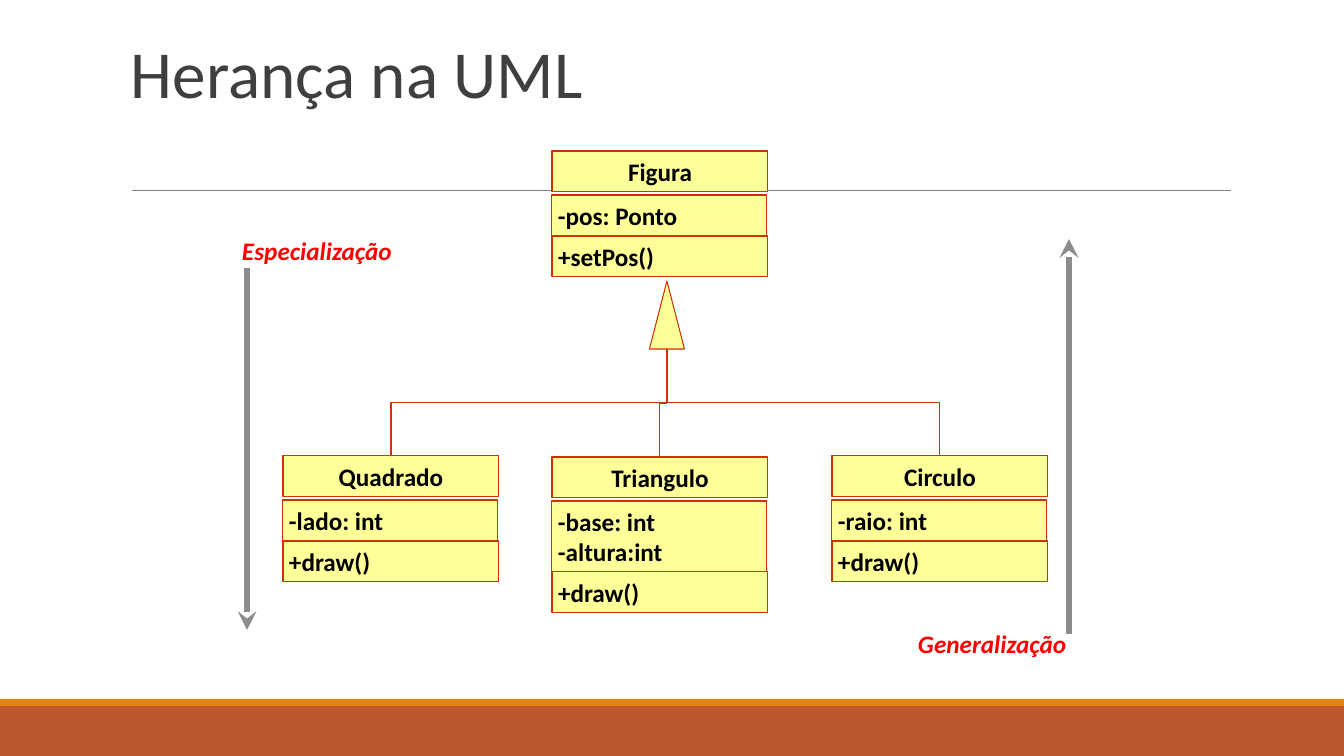
"""Build the slide on inheritance in UML class diagrams."""
from pptx import Presentation
from pptx.dml.color import RGBColor
from pptx.enum.shapes import MSO_CONNECTOR as Link, MSO_SHAPE as Form
from pptx.enum.text import MSO_ANCHOR as Anchor, PP_ALIGN as Align
from pptx.oxml.ns import qn
from pptx.oxml.xmlchemy import OxmlElement as Node
from pptx.util import Pt

PX = 9071.43
WIDE, HIGH = 1344, 756
FONT = "Calibri"
YELLOW, RED, GRAY = "FFFF99", "CC3300", "8C8C8C"

TITLE = "Herança na UML"
BANDS = [(706, 50, "BD582C"), (699, 7, "E48312")]
BASE = (552, 151, "Figura", ["-pos: Ponto"], "+setPos()")
KIDS = [
    (283, 456, "Quadrado", ["-lado: int"], "+draw()"),
    (552, 457, "Triangulo", ["-base: int", "-altura:int"], "+draw()"),
    (832, 456, "Circulo", ["-raio: int"], "+draw()"),
]
ARROWS = [(247, 268, 630), (1069, 634, 239)]
LABELS = [("Especialização", 232, 226), ("Generalização", 908, 619)]
BOX, ROW, STEP, GAP = 216, 41, 30, 3
TIP, TOP, HEAD, TALL = 667, 281, 35, 68


def px(num):
    return round(num * PX)


def tint(code):
    return RGBColor.from_string(code)


def write(shape, lines, size, color, pad, align=Align.LEFT, bold=True,
          slant=False, space=None, anchor=Anchor.TOP):
    frame = shape.text_frame
    frame.word_wrap = True
    frame.vertical_anchor = anchor
    frame.margin_left = frame.margin_right = px(pad[0])
    frame.margin_top = frame.margin_bottom = px(pad[1])
    for i, line in enumerate(lines):
        para = frame.add_paragraph() if i else frame.paragraphs[0]
        para.alignment = align
        para.line_spacing = space
        run = para.add_run()
        run.text = line
        font = run.font
        font.name, font.size = FONT, Pt(size)
        font.bold, font.italic = bold, slant
        font.color.rgb = tint(color)


def draw(form, x, y, w, h, fill, edge=None):
    shape = slide.shapes.add_shape(form, px(x), px(y), px(w), px(h))
    shape.shadow.inherit = False
    shape.fill.solid()
    shape.fill.fore_color.rgb = tint(fill)
    if edge:
        shape.line.color.rgb = tint(edge)
        shape.line.width = Pt(0.75)
    else:
        shape.line.fill.background()
    return shape


def label(x, y, w, h):
    return slide.shapes.add_textbox(px(x), px(y), px(w), px(h))


def join(kind, x1, y1, x2, y2, color, width=0.75):
    line = slide.shapes.add_connector(kind, px(x1), px(y1), px(x2), px(y2))
    line.line.color.rgb = tint(color)
    line.line.width = Pt(width)
    line.element.spPr.append(Node("a:effectLst"))
    return line


def elbow(x1, y1, x2, y2):
    side = 1 if x1 < x2 else -1
    mid, half = (x1 + x2) / 2, (y1 - y2) / 2
    level, drop = (y1 + y2) / 2, abs(x2 - x1) / 2
    line = join(Link.ELBOW, mid - side * half, level - drop,
                mid + side * half, level + drop, RED)
    turn = 270 if side > 0 else 90
    line.element.spPr.find(qn("a:xfrm")).set("rot", str(turn * 60000))


def entity(x, y, name, attrs, method):
    mid = y + ROW + GAP
    deep = ROW + STEP * (len(attrs) - 1)
    rows = [
        (y, BOX, ROW, [name], Align.CENTER),
        (mid, BOX - 1, deep, attrs, Align.LEFT),
        (mid + deep, BOX, ROW, [method], Align.LEFT),
    ]
    for top, w, h, lines, align in rows:
        shape = draw(Form.RECTANGLE, x, top, w, h, YELLOW, RED)
        write(shape, lines, 18, "000000", (6, 5), align)


deck = Presentation()
deck.slide_width, deck.slide_height = px(WIDE), px(HIGH)
slide = deck.slides.add_slide(deck.slide_layouts[6])

for y, h, color in BANDS:
    draw(Form.RECTANGLE, 0, y, WIDE, h, color)
join(Link.STRAIGHT, 132, 191, 1231, 191, "7F7F7F")
write(label(121, 31, 1109, 86), [TITLE], 48, "3F3F3F", (10, 5),
      bold=False, space=0.85, anchor=Anchor.BOTTOM)

for item in [*KIDS, BASE]:
    entity(*item)
draw(Form.ISOSCELES_TRIANGLE, TIP - HEAD / 2, TOP, HEAD, TALL, YELLOW, RED)
for x, y, *_ in KIDS:
    elbow(x + BOX / 2, y, TIP, TOP + TALL)

for x, start, end in ARROWS:
    line = join(Link.STRAIGHT, x, start, x, end, GRAY, 4.5)
    tail = Node("a:tailEnd")
    tail.set("type", "stealth")
    line.line.fill.solid()
    line.line.color.rgb = tint(GRAY)
    line.element.spPr.find(qn("a:ln")).append(tail)
for word, x, y in LABELS:
    write(label(x, y, 171, 49), [word], 18, "FF0000", (10, 9), slant=True)

deck.save("out.pptx")
